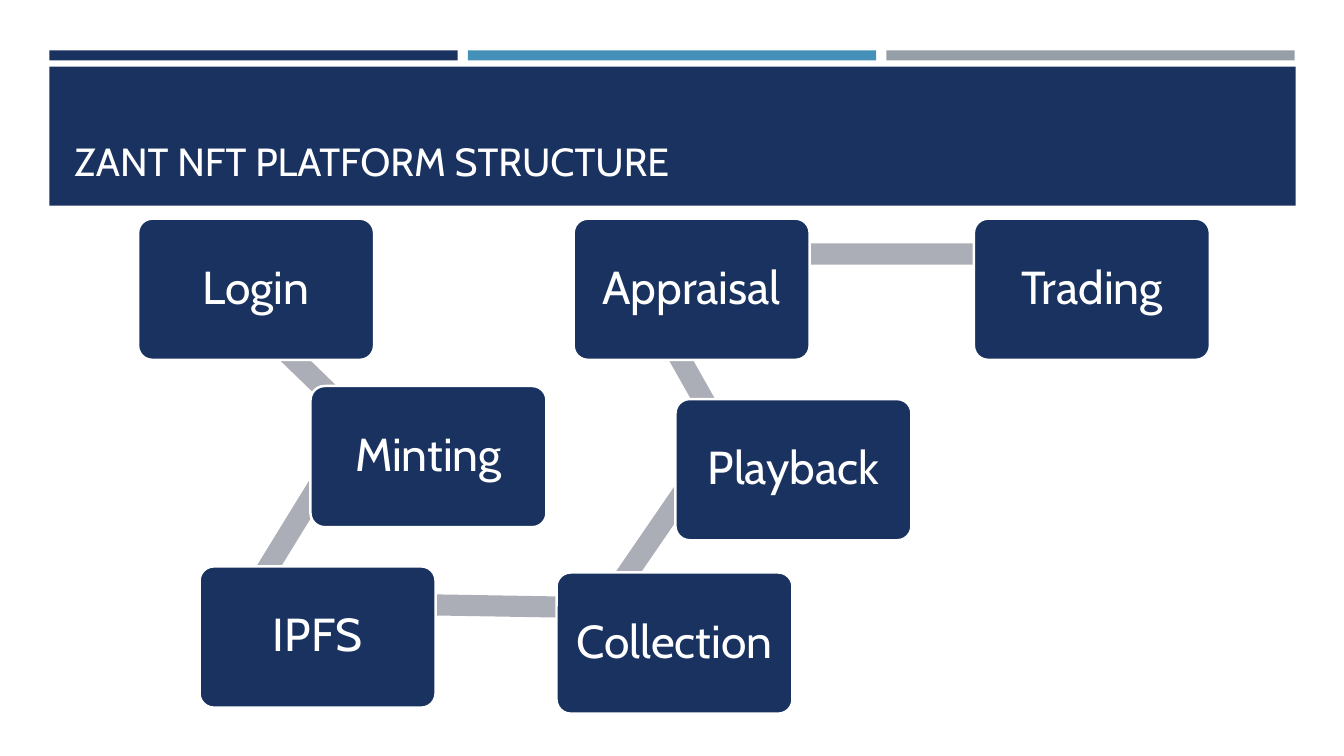
from itertools import zip_longest
from math import atan2, degrees, hypot

from pptx import Presentation
from pptx.dml.color import RGBColor
from pptx.enum.shapes import MSO_SHAPE as Shape
from pptx.enum.text import MSO_ANCHOR as Anchor, PP_ALIGN as Align
from pptx.util import Inches, Pt

COLORS = {"navy": "1A3260", "blue": "4590B8", "gray": "969FA7",
          "link": "ACAEB7", "white": "FFFFFF"}
FONT = "Cabin"
NODE_W, NODE_H = 2.34, 1.4
LINK_H = 0.21
LINK_DX, LINK_DY = 0.47, 0.35
STEPS = [("Login", 1.37, 2.17), ("Minting", 3.08, 3.83), ("IPFS", 1.98, 5.62),
         ("Collection", 5.52, 5.68), ("Playback", 6.7, 3.96),
         ("Appraisal", 5.69, 2.17), ("Trading", 9.66, 2.17)]


def color(name):
    """Return the named colour."""
    return RGBColor.from_string(COLORS[name])


def add_box(slide, kind, x, y, w, h, fill):
    """Add a filled shape with no line or shadow."""
    box = slide.shapes.add_shape(kind, Inches(x), Inches(y), Inches(w), Inches(h))
    box.shadow.inherit = False
    box.fill.solid()
    box.fill.fore_color.rgb = color(fill)
    box.line.fill.background()
    return box


def add_run(para, text, size):
    """Add one white run to a paragraph."""
    run = para.add_run()
    run.text = text
    run.font.name = FONT
    run.font.size = Pt(size)
    run.font.color.rgb = color("white")


def add_title(slide, text):
    """Add the banner and its title."""
    add_box(slide, Shape.RECTANGLE, 0.49, 0.66, 12.36, 1.38, "navy")
    box = slide.shapes.add_textbox(Inches(0.64), Inches(0.8), Inches(12.06), Inches(1.08))
    frame = box.text_frame
    frame.word_wrap = True
    frame.vertical_anchor = Anchor.BOTTOM
    add_run(frame.paragraphs[0], text, 28)


def add_link(slide, start, end):
    """Add a bar turned along the way from one step to the next."""
    (_, x1, y1), (_, x2, y2) = start, end
    size = hypot(x2 - x1, y2 - y1)
    mid_x = (x1 + x2) / 2 + LINK_DX
    mid_y = (y1 + y2) / 2 + LINK_DY
    bar = add_box(slide, Shape.RECTANGLE, mid_x - size / 2, mid_y - LINK_H / 2,
                  size, LINK_H, "link")
    bar.rotation = degrees(atan2(y2 - y1, x2 - x1)) % 360


def add_node(slide, text, x, y):
    """Add a rounded step box with its label."""
    box = add_box(slide, Shape.ROUNDED_RECTANGLE, x, y, NODE_W, NODE_H, "navy")
    box.adjustments[0] = 0.1
    box.line.color.rgb = color("white")
    box.line.width = Pt(1.75)
    frame = box.text_frame
    frame.word_wrap = True
    frame.vertical_anchor = Anchor.MIDDLE
    frame.margin_left = frame.margin_right = Inches(0.13)
    frame.margin_top = frame.margin_bottom = Inches(0.13)
    para = frame.paragraphs[0]
    para.alignment = Align.CENTER
    para.line_spacing = 0.9
    add_run(para, text, 33)


def main():
    """Build and save the slide."""
    deck = Presentation()
    deck.slide_width, deck.slide_height = Inches(13.33), Inches(7.5)
    slide = deck.slides.add_slide(deck.slide_layouts[6])
    for i, fill in enumerate(("navy", "blue", "gray")):
        add_box(slide, Shape.RECTANGLE, 0.49 + i * 4.15, 0.5, 4.05, 0.1, fill)
    add_title(slide, "ZANT NFT PLATFORM STRUCTURE")
    for step, after in zip_longest(STEPS, STEPS[1:]):
        if after:
            add_link(slide, step, after)
        add_node(slide, *step)
    deck.save("out.pptx")


if __name__ == "__main__":
    main()
